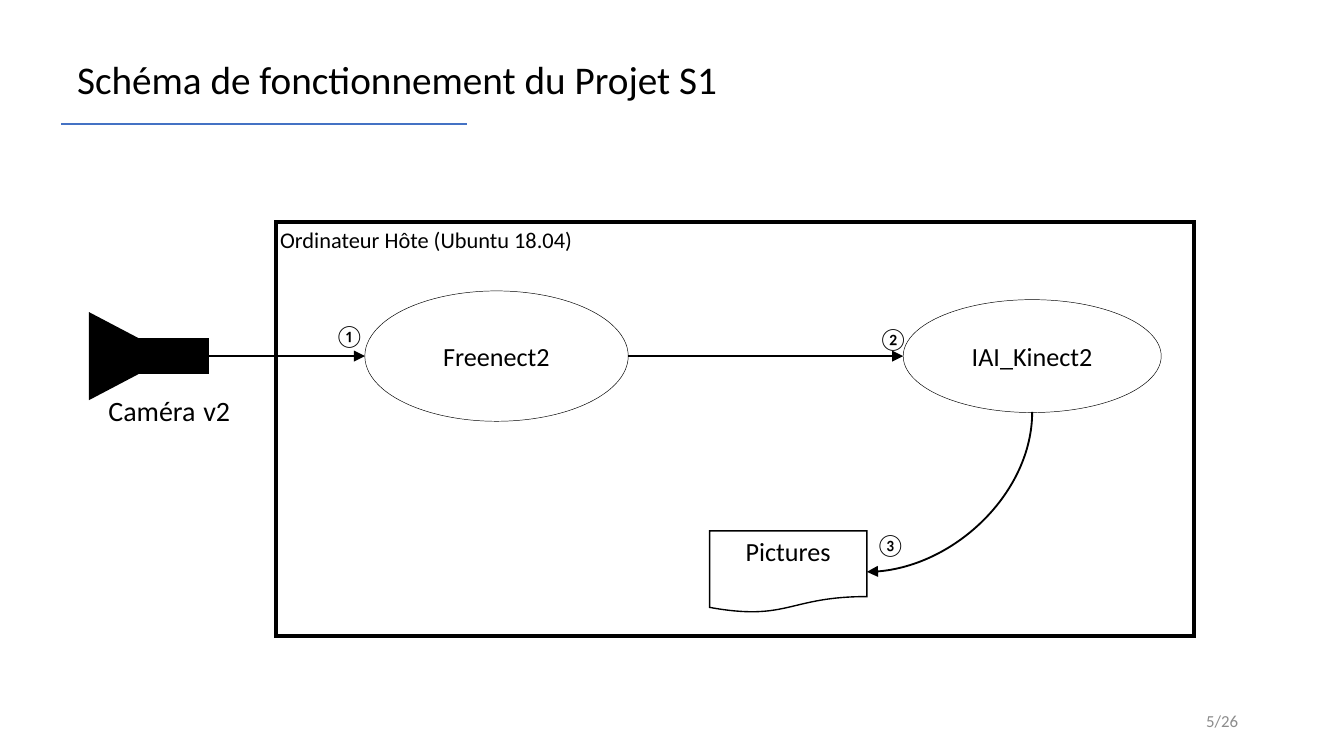
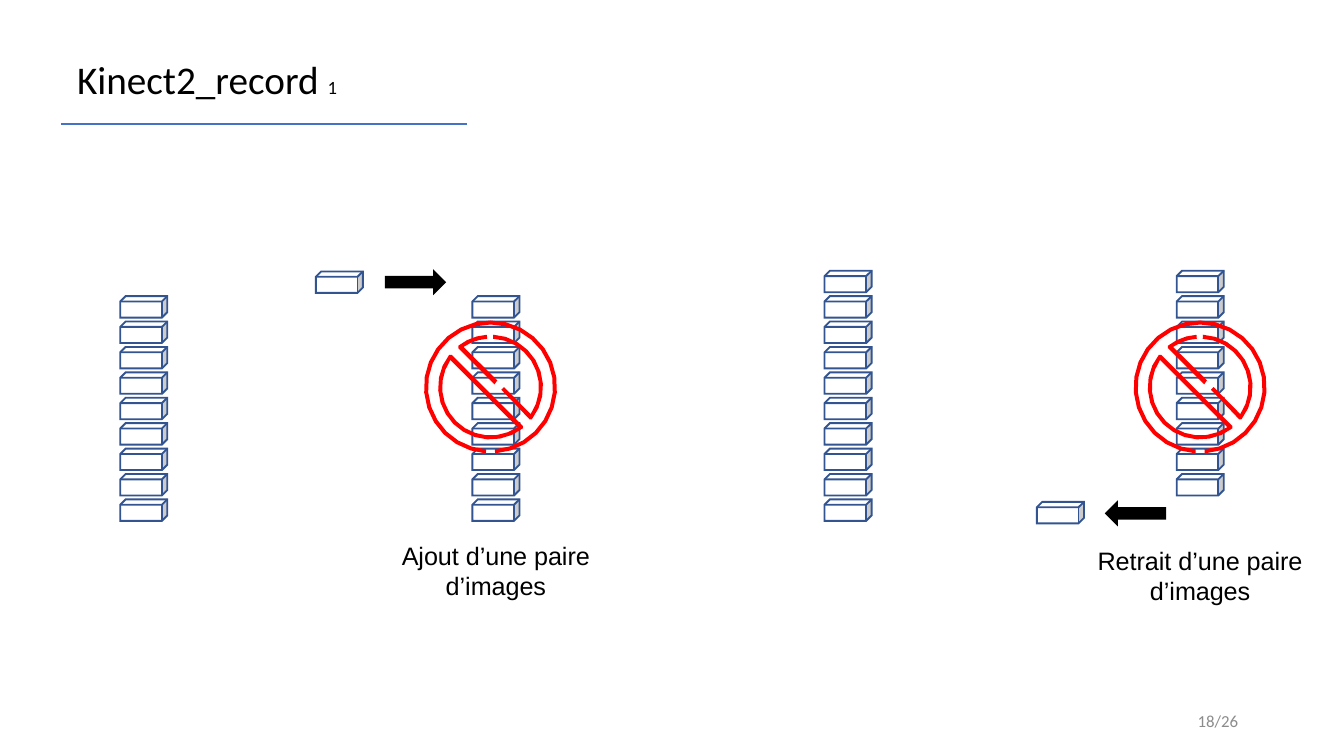
import math

import pptx
import pptx.dml.color
import pptx.enum.shapes
import pptx.enum.text
import pptx.oxml.ns
import pptx.util
from lxml import etree

SHAPE = pptx.enum.shapes.MSO_SHAPE
CXN = pptx.enum.shapes.MSO_CONNECTOR
ALIGN = pptx.enum.text.PP_ALIGN
ANCHOR = pptx.enum.text.MSO_ANCHOR
Pt = pptx.util.Pt
qn = pptx.oxml.ns.qn

WIDE = pptx.util.Inches(10)
HIGH = WIDE * 9 // 16
CELL = WIDE // 100  # the grid has 100 columns of square cells

BLACK, WHITE, GREY = "000000", "FFFFFF", "8C8C8C"
BLUE, NAVY, RED = "4472C4", "325491", "FF0000"

PITCH = 1.89  # from one cube of a stack to the next
CUBE = (3.5, 1.6)
ARROW = (4.4, 1.6)


def grid(*cells):
    return [round(c * CELL) for c in cells]


def color(code):
    return pptx.dml.color.RGBColor.from_string(code)


def apply(target, form):
    for name, value in form.items():
        setattr(target, name, value)


def write(shape, paras, size, face="Calibri", tone=BLACK, pad=0.3,
          align=ALIGN.LEFT, space=None, **frame):
    """Fill a shape with paragraphs; a paragraph is a list of (text, size) or a string."""
    body = shape.text_frame
    sides = dict.fromkeys(("margin_left", "margin_right", "margin_top", "margin_bottom"),
                          grid(pad)[0])
    apply(body, {"word_wrap": True, "vertical_anchor": ANCHOR.TOP, **sides, **frame})
    for i, para in enumerate(paras):
        line = body.add_paragraph() if i else body.paragraphs[0]
        apply(line, {"alignment": align, "line_spacing": space})
        for text, points in [(para, size)] if isinstance(para, str) else para:
            run = line.add_run()
            run.text = text
            apply(run.font, {"name": face, "size": Pt(points)})
            run.font.color.rgb = color(tone)


def label(slide, box, paras, size, **form):
    write(slide.shapes.add_textbox(*grid(*box)), paras, size, **form)


def paint(shape, fill=None, edge=None, width=1):
    shape.shadow.inherit = False
    if fill:
        shape.fill.solid()
        shape.fill.fore_color.rgb = color(fill)
    else:
        shape.fill.background()
    if edge:
        shape.line.color.rgb = color(edge)
        shape.line.width = Pt(width)
        etree.SubElement(shape.line._get_or_add_ln(), qn("a:miter"), lim="800000")
    else:
        shape.line.fill.background()
    return shape


def draw(home, kind, box, *style, turn=0):
    shape = paint(home.shapes.add_shape(kind, *grid(*box)), *style)
    shape.rotation = turn
    return shape


def link(slide, ends, tone=BLACK, width=1, kind=CXN.CURVE, tip=True):
    line = slide.shapes.add_connector(kind, *grid(*ends))
    line.line.color.rgb = color(tone)
    line.line.width = Pt(width)
    if tip:
        etree.SubElement(line.line._get_or_add_ln(), qn("a:tailEnd"), type="triangle")
    etree.SubElement(line._element.spPr, qn("a:effectLst"))
    return line


def bend(line):
    """Make a curved connector a quarter turn that runs down, then left."""
    props = line._element.spPr
    props.find(qn("a:xfrm")).set("rot", "5400000")
    props.find(qn("a:prstGeom")).set("prst", "curvedConnector2")


def head(slide, title, wide, page):
    """Title, rule and page number."""
    label(slide, (4.75, 3.5, wide, 5.1), [title], 21, pad=1, space=0.9)
    link(slide, (4.55, 9.22, 34.75, 9.22), BLUE, 1, CXN.STRAIGHT, False)
    label(slide, (70.6, 52.1, 22.5, 3), [f"{page}/26"], 9, tone=GREY, pad=1,
          align=ALIGN.RIGHT, vertical_anchor=ANCHOR.MIDDLE)


def camera(slide, x, y):
    body = draw(slide, SHAPE.RECTANGLE, (x + 3.6, y + 1.7, 5.2, 2.4), BLACK, BLACK, 2)
    draw(slide, SHAPE.ISOSCELES_TRIANGLE, (x, y, 6.1, 5.8), BLACK, BLACK, 2, turn=90)
    label(slide, (x - 0.5, y + 4.8, 13, 4), [[("Caméra", 15), (" ", 18), ("v2", 15)]], 15,
          pad=0.5, align=ALIGN.CENTER)
    return body


def host(slide, x, y, wide, high):
    """Host computer with its programs and the files they make."""
    frame = draw(slide, SHAPE.RECTANGLE, (x, y, wide, high), None, BLACK, 2)
    write(frame, ["Ordinateur Hôte (Ubuntu 18.04)"], 12)
    mid = y + 10
    parts = [
        (SHAPE.OVAL, (x + 6.6, mid - 4.85, 19.6, 9.7), 0.25, "Freenect2", ANCHOR.MIDDLE),
        (SHAPE.OVAL, (x + 46.65, mid - 4.2, 19.2, 8.4), 0.25, "IAI_Kinect2", ANCHOR.MIDDLE),
        (SHAPE.FLOWCHART_DOCUMENT, (x + 32.25, y + 23, 11.7, 6.1), 0.75, "Pictures", ANCHOR.TOP),
    ]
    for kind, box, width, name, anchor in parts:
        write(draw(slide, kind, box, None, BLACK, width), [name], 14,
              align=ALIGN.CENTER, vertical_anchor=anchor)
    link(slide, (x + 26.2, mid, x + 46.65, mid))
    bend(link(slide, (x + 44.15, y + 13.95, x + 56.05, y + 26.25)))
    for mark, dx, dy in (("①", 4.05, 7.2), ("②", 44.5, 7.4), ("③", 44.3, 22.7)):
        label(slide, (x + dx, y + dy, 2.4, 2.2), [mark], 12)
    return x + 6.6, mid


def stack(group, x, y, count):
    for row in range(count):
        draw(group, SHAPE.CUBE, (x, y + row * PITCH, *CUBE), WHITE, NAVY)


def arc(radius, start, end):
    steps = math.ceil(abs(end - start) / 14)
    turns = [math.radians(start + (end - start) * i / steps) for i in range(steps + 1)]
    return [(radius * math.cos(t), radius * math.sin(t)) for t in turns]


def ban(slide, x, y):
    """Prohibition sign centred on x, y."""
    far, near = 3.9, 3.6
    pieces = [
        [arc(far, -87, 38) + [(2.9, 2.4), (0.8, 0.2), (1, 0)] + arc(near, 34, -87)],
        [arc(far, -94, -128) + [(-2.4, -2.9), (0.3, -0.2), (0.5, -0.5)]
         + arc(near, -124, -94)],
        [arc(far, 52, 218) + [(-2.9, -2.4), (2.4, 2.9)], arc(near, 214, 56)],
        [arc(4.95, 94, 446) + arc(4.65, 446, 94)],
    ]
    group = slide.shapes.add_group_shape()
    for rings in pieces:
        pen = None
        for ring in rings:
            points = [grid(x + dx, y + dy) for dx, dy in ring]
            if pen:
                pen.move_to(*points[0])
            else:
                pen = group.shapes.build_freeform(*points[0])
            pen.add_line_segments(points[1:], close=True)
        paint(pen.convert_to_shape(), RED)


def scene(slide, group, x, y, counts, loose, arrow, turn, sign, note, lines):
    """Stack before and after a forbidden move; places are relative to x, y."""
    for step, (row, count) in enumerate(counts):
        stack(group, x + step * 26.2, y + row * PITCH, count)
    for home, kind, (dx, dy), size, style, spin in (
            (group, SHAPE.CUBE, loose, CUBE, (WHITE, NAVY), 0),
            (slide, SHAPE.RIGHT_ARROW, arrow, ARROW, (BLACK, BLACK), turn)):
        draw(home, kind, (x + dx, y + dy, *size), *style, turn=spin)
    ban(slide, x + sign, y + 8.65)
    dx, dy, wide = note
    label(slide, (x + dx, y + dy, wide, 5.6), lines, 13.5, face="Arial", pad=0.5,
          align=ALIGN.CENTER, word_wrap=False)


def scheme(slide):
    head(slide, "Schéma de fonctionnement du Projet S1", 51.5, 5)
    goal = host(slide, 20.55, 16.5, 68.3, 30.8)
    body = camera(slide, 6.6, 23.6)
    link(slide, (15.4, 26.5, *goal)).begin_connect(body, 3)


def record(slide):
    head(slide, [("Kinect2_record ", 21), ("1", 10)], 37.6, 18)
    group = slide.shapes.add_group_shape()
    scene(slide, group, 8.95, 20.15, [(1, 9), (1, 9)], (14.55, 0.05), (19.75, 0.05), 0, 27.55,
          (19.8, 19.55, 16.3), ["Ajout d’une paire", "d’images"])
    scene(slide, group, 61.35, 20.15, [(0, 10), (0, 9)], (15.8, 17.2), (20.95, 17.25), 180,
          27.95, (19.15, 19.9, 17.6), ["Retrait d’une paire", "d’images"])


def main():
    deck = pptx.Presentation()
    apply(deck, {"slide_width": WIDE, "slide_height": HIGH})
    for build in (scheme, record):
        build(deck.slides.add_slide(deck.slide_layouts[6]))
    deck.save("out.pptx")


if __name__ == "__main__":
    main()
